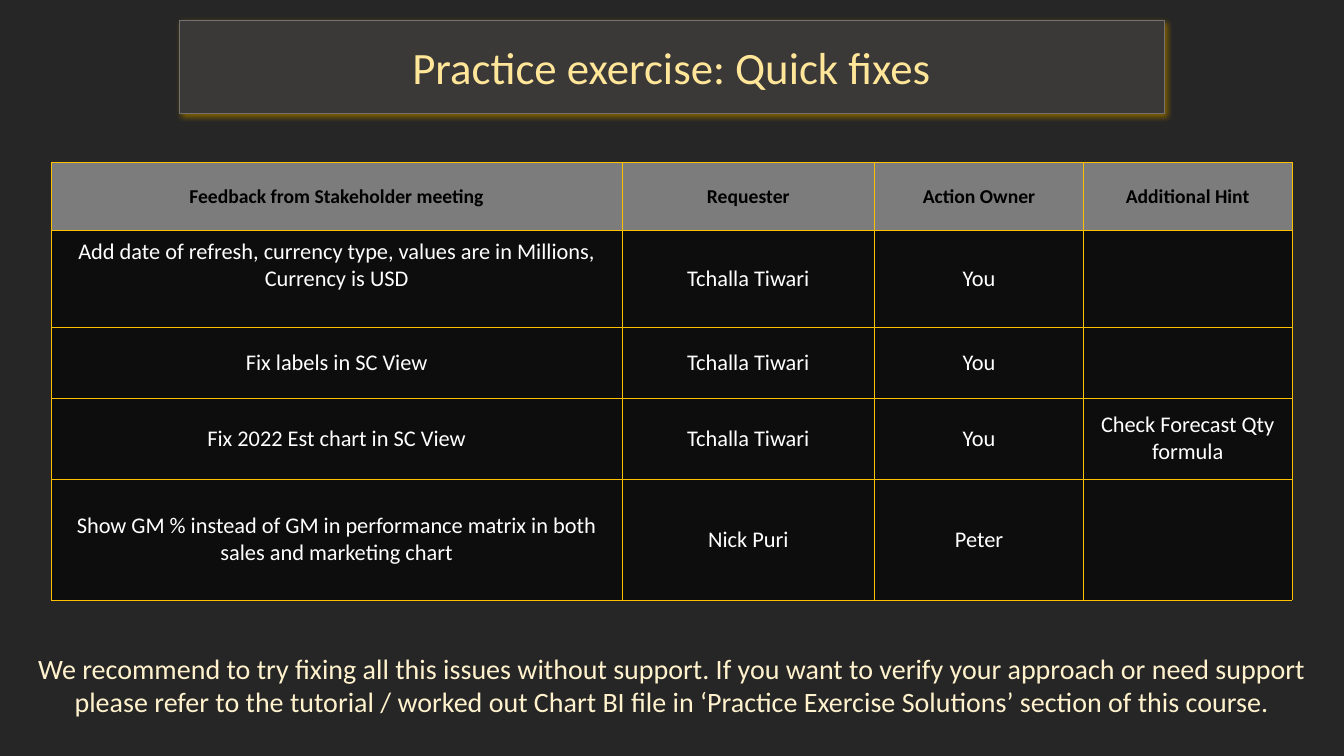
import pptx
import pptx.util
import pptx.dml.color
import pptx.enum.text
import pptx.oxml
import pptx.oxml.ns
import lxml.etree

Pt = pptx.util.Pt
Align = pptx.enum.text.PP_ALIGN
Anchor = pptx.enum.text.MSO_ANCHOR
NAMESPACE = pptx.oxml.ns.nsdecls("a")


def color(value):
    return pptx.dml.color.RGBColor.from_string(value)


def write(frame, text, size=16, fill="FFFFFF", bold=False, font="Calibri"):
    """Put one centred, formatted paragraph into a text frame."""
    frame.word_wrap = True
    para = frame.paragraphs[0]
    para.alignment = Align.CENTER
    para.line_spacing = 1.0
    span = para.add_run()
    span.text = text
    span.font.name = font
    span.font.size = Pt(size)
    span.font.bold = bold
    span.font.color.rgb = color(fill)


class Deck:
    BACKGROUND = "262626"
    HEADER_FILL, BODY_FILL = "7C7C7C", "0D0D0D"
    GOLD = "FFC000"

    def __init__(self, width, height):
        self.deck = pptx.Presentation()
        self.deck.slide_width, self.deck.slide_height = Pt(width), Pt(height)
        self.page = None

    def add_page(self):
        self.page = self.deck.slides.add_slide(self.deck.slide_layouts[5])
        fill = self.page.background.fill
        fill.solid()
        fill.fore_color.rgb = color(self.BACKGROUND)

    def title(self, text, left, top, width, height):
        """Turn the title placeholder into a rounded panel with a gold glow."""
        box = self.page.shapes.title
        box.left, box.top, box.width, box.height = map(Pt, (left, top, width, height))
        properties = box.element.spPr
        properties.append(pptx.oxml.parse_xml(
            f'<a:prstGeom {NAMESPACE} prst="roundRect"><a:avLst/></a:prstGeom>'))
        box.fill.solid()
        box.fill.fore_color.rgb = color("3B3838")
        box.line.color.rgb = color("767171")
        box.line.width = Pt(0.25)
        properties.append(pptx.oxml.parse_xml(
            f'<a:effectLst {NAMESPACE}><a:outerShdw blurRad="{Pt(4)}" dist="{Pt(2)}" '
            'dir="3060000" algn="tl" rotWithShape="0"><a:srgbClr val="806000"/>'
            '</a:outerShdw></a:effectLst>'))
        box.text_frame.vertical_anchor = Anchor.MIDDLE
        write(box.text_frame, text, size=32, fill="FFE699")

    def text(self, text, left, top, width, height, **style):
        box = self.page.shapes.add_textbox(*map(Pt, (left, top, width, height)))
        box.text_frame.vertical_anchor = Anchor.MIDDLE
        write(box.text_frame, text, **style)

    def borders(self, cell):
        properties = cell._tc.get_or_add_tcPr()
        for index, side in enumerate(("lnL", "lnR", "lnT", "lnB")):
            properties.insert(index, pptx.oxml.parse_xml(
                f'<a:{side} {NAMESPACE} w="{Pt(0.5)}"><a:solidFill>'
                f'<a:srgbClr val="{self.GOLD}"/></a:solidFill></a:{side}>'))

    def table(self, rows, left, top, widths, heights):
        frame = self.page.shapes.add_table(
            len(rows), len(widths), Pt(left), Pt(top), Pt(sum(widths)), Pt(sum(heights)))
        table = frame.table
        for column, width in zip(table.columns, widths):
            column.width = Pt(width)
        for row, height in zip(table.rows, heights):
            row.height = Pt(height)
        for row_index, row in enumerate(rows):
            header = row_index == 0
            style = dict(size=14, fill="000000", bold=True) if header else {}
            for column_index, text in enumerate(row):
                cell = table.cell(row_index, column_index)
                cell.vertical_anchor = Anchor.MIDDLE
                cell.margin_left = cell.margin_right = Pt(2)
                cell.margin_top = cell.margin_bottom = Pt(1.5)
                cell.fill.solid()
                cell.fill.fore_color.rgb = color(
                    self.HEADER_FILL if header else self.BODY_FILL)
                self.borders(cell)
                if text:
                    write(cell.text_frame, text, **style)
        return table


deck = Deck(960, 540)
deck.add_page()

# Title panel
deck.title("Practice exercise: Quick fixes", 128, 14.4, 703.5, 66.5)

# Feedback table
feedback = deck.table(
    [
        ("Feedback from Stakeholder meeting", "Requester", "Action Owner", "Additional Hint"),
        ("Add date of refresh, currency type, values are in Millions, Currency is USD",
         "Tchalla Tiwari", "You", ""),
        ("Fix labels in SC View", "Tchalla Tiwari", "You", ""),
        ("Fix 2022 Est chart in SC View", "Tchalla Tiwari", "You",
         "Check Forecast Qty formula"),
        ("Show GM % instead of GM in performance matrix in both sales and marketing chart",
         "Nick Puri", "Peter", ""),
    ],
    36.7, 115.9, widths=(407.5, 180.7, 149, 149), heights=(48.6, 69.6, 50.2, 58, 86.4))
# The first request sits above the middle of its row
feedback.cell(1, 0).margin_bottom = Pt(21)

# Closing advice
deck.text(
    "We recommend to try fixing all this issues without support. If you want to verify "
    "your approach or need support please refer to the tutorial / worked out Chart BI "
    "file in ‘Practice Exercise Solutions’ section of this course.",
    0, 463.7, 960, 51, size=20, fill="FFF2CC")

deck.deck.save("out.pptx")
